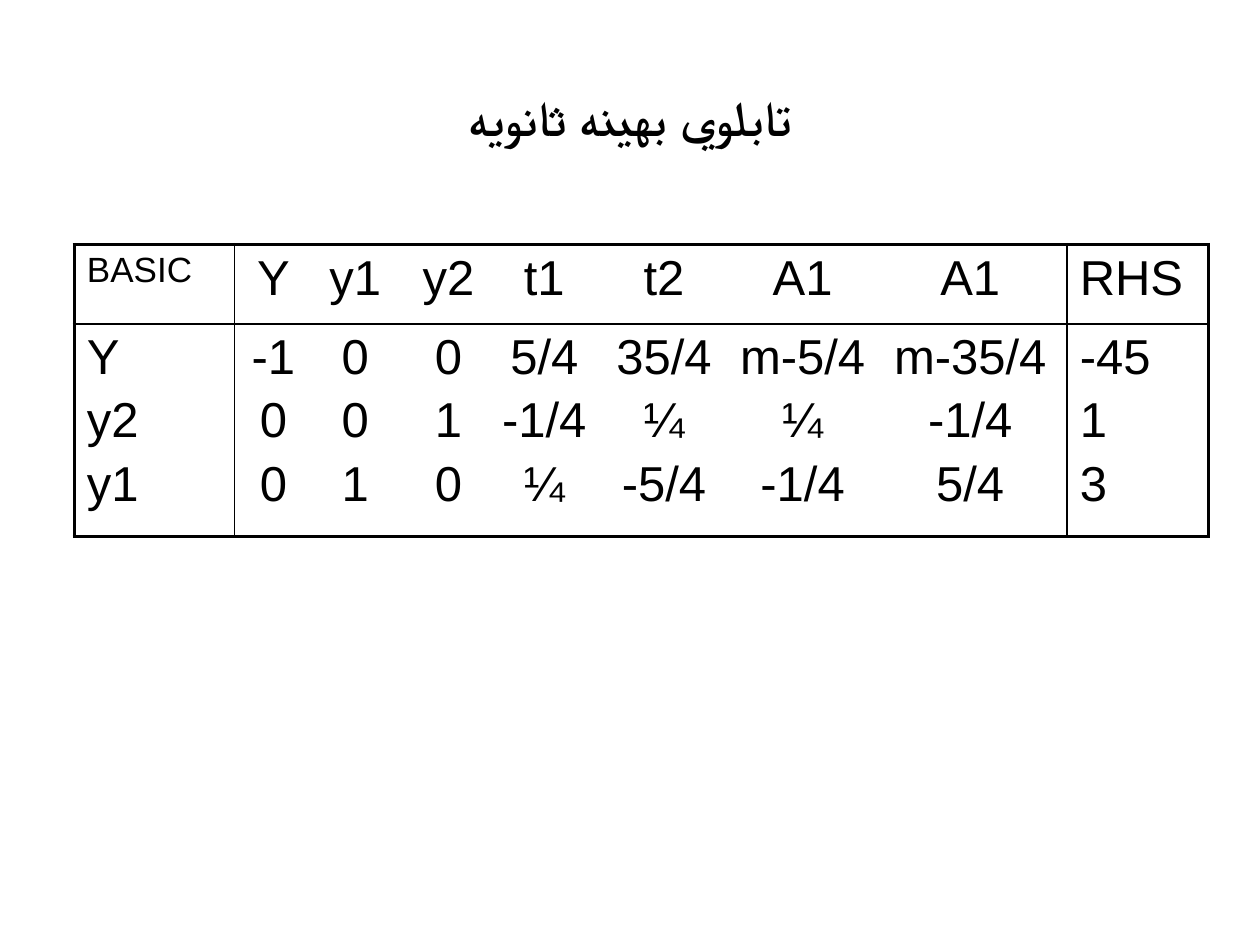
from dataclasses import dataclass

from lxml.etree import SubElement
from pptx import Presentation
from pptx.dml.color import RGBColor
from pptx.enum.text import MSO_ANCHOR, PP_ALIGN
from pptx.oxml.ns import qn
from pptx.util import Inches, Pt


@dataclass(frozen=True)
class Theme:
    font: str = "Arial"
    ink: str = "000000"
    body: float = 28
    label: float = 20
    row_gap: float = 5
    frame: float = 2.25
    rule: float = 1


THEME = Theme()
COLUMN_WIDTHS = (1.27, 6.61, 1.12)
ROW_HEIGHTS = (0.63, 1.69)
# Centres of the seven variable columns, from the text edge of the middle cell
VARIABLE_CENTRES = (0.21, 0.86, 1.6, 2.36, 3.31, 4.41, 5.74)

BASIC = (("BASIC",), ("Y", "y2", "y1"))
COEFFICIENTS = (
    (("Y", "y1", "y2", "t1", "t2", "A1", "A1"),),
    (
        ("-1", "0", "0", "5/4", "35/4", "m-5/4", "m-35/4"),
        ("0", "0", "1", "-1/4", "¼", "¼", "-1/4"),
        ("0", "1", "0", "¼", "-5/4", "-1/4", "5/4"),
    ),
)
RHS = (("RHS",), ("-45", "1", "3"))


def apply_format(target, values):
    for name, value in values.items():
        setattr(target, name, value)


def style_font(font, size, bold=False):
    apply_format(font, {"name": THEME.font, "size": Pt(size), "bold": bold})
    font.color.rgb = RGBColor.from_string(THEME.ink)


def add_title(slide, wording):
    title = slide.shapes.title
    apply_format(title, {"left": Inches(0.5), "top": Inches(0.3),
                         "width": Inches(9), "height": Inches(1.25)})
    title.text_frame.vertical_anchor = MSO_ANCHOR.MIDDLE
    heading = title.text_frame.paragraphs[0]
    heading.alignment = PP_ALIGN.CENTER
    run = heading.add_run()
    run.text = wording
    style_font(run.font, THEME.body, bold=True)


def set_borders(cell, widths):
    properties = cell._tc.get_or_add_tcPr()
    for side in "LRTB":
        line = SubElement(properties, qn(f"a:ln{side}"), w=str(Pt(widths[side])))
        fill = SubElement(line, qn("a:solidFill"))
        SubElement(fill, qn("a:srgbClr"), val=THEME.ink)


def add_tab_stops(paragraph, centres):
    stops = SubElement(paragraph._p.get_or_add_pPr(), qn("a:tabLst"))
    for centre in centres:
        SubElement(stops, qn("a:tab"), pos=str(Inches(centre)), algn="ctr")


def fill_cell(cell, lines, size, centres=()):
    apply_format(cell, {"margin_left": Inches(0.1), "margin_right": Inches(0.1),
                        "margin_top": Inches(0.05), "margin_bottom": Inches(0.05)})
    frame = cell.text_frame
    for index, line in enumerate(lines):
        paragraph = frame.add_paragraph() if index else frame.paragraphs[0]
        paragraph.space_before = Pt(THEME.row_gap)
        if centres:
            add_tab_stops(paragraph, centres)
        run = paragraph.add_run()
        run.text = line
        style_font(run.font, size)


def add_tableau(slide):
    last_row, last_column = len(ROW_HEIGHTS) - 1, len(COLUMN_WIDTHS) - 1
    tableau = slide.shapes.add_table(
        len(ROW_HEIGHTS), len(COLUMN_WIDTHS), Inches(0.59), Inches(1.94),
        Inches(sum(COLUMN_WIDTHS)), Inches(sum(ROW_HEIGHTS))).table
    apply_format(tableau, {"first_row": False, "horz_banding": False})
    for column, width in zip(tableau.columns, COLUMN_WIDTHS):
        column.width = Inches(width)
    for row, height in zip(tableau.rows, ROW_HEIGHTS):
        row.height = Inches(height)

    for r in range(last_row + 1):
        # Wording: basic variables, aligned coefficients, right-hand side
        coefficients = ["".join(f"\t{value}" for value in line)
                        for line in COEFFICIENTS[r]]
        fill_cell(tableau.cell(r, 0), BASIC[r], THEME.body if r else THEME.label)
        fill_cell(tableau.cell(r, 1), coefficients, THEME.body, VARIABLE_CENTRES)
        fill_cell(tableau.cell(r, 2), RHS[r], THEME.body)

        # Heavy outer frame, thin inner rules
        for c in range(last_column + 1):
            on_frame = {"L": c == 0, "R": c == last_column,
                        "T": r == 0, "B": r == last_row}
            cell = tableau.cell(r, c)
            set_borders(cell, {side: THEME.frame if outer else THEME.rule
                               for side, outer in on_frame.items()})
            cell.fill.background()


def main():
    deck = Presentation()
    apply_format(deck, {"slide_width": Inches(10), "slide_height": Inches(7.5)})
    slide = deck.slides.add_slide(deck.slide_layouts.get_by_name("Title Only"))
    add_title(slide, "تابلوي بهينه ثانويه")
    add_tableau(slide)
    deck.save("out.pptx")


if __name__ == "__main__":
    main()
